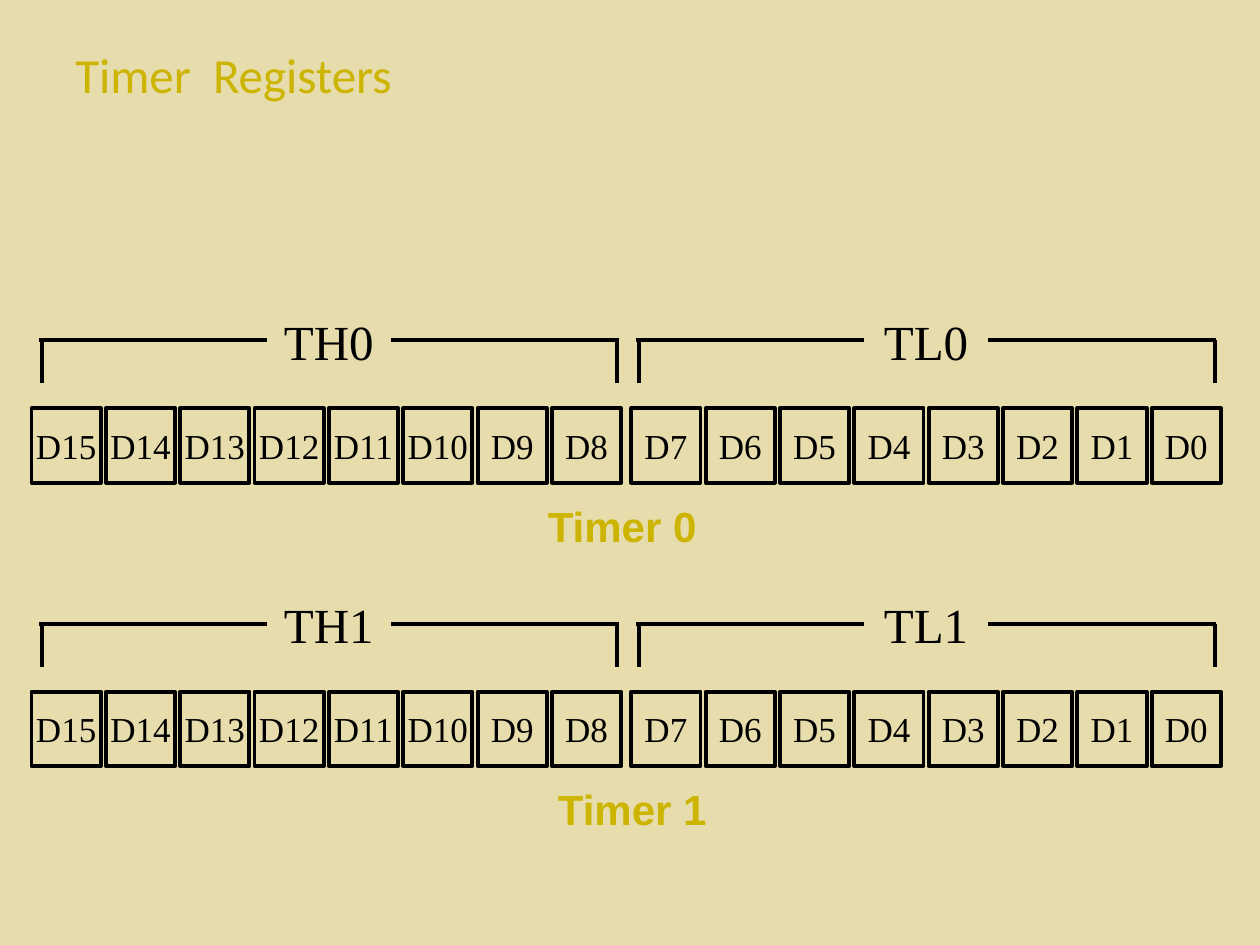
from pptx import Presentation
from pptx.dml.color import RGBColor
from pptx.enum.shapes import MSO_CONNECTOR, MSO_SHAPE
from pptx.enum.text import MSO_ANCHOR, MSO_AUTO_SIZE, PP_ALIGN
from pptx.oxml.ns import qn
from pptx.util import Inches, Pt
from lxml.etree import SubElement

COLORS = {"sand": "E6DCAC", "gold": "CCB400", "ink": "000000"}
SERIF = "Times New Roman"
BITS = 8
STEP = 0.59


def color(name):
    return RGBColor.from_string(COLORS[name])


class Deck:
    """Holds the line style and the slide being drawn."""
    weight = Pt(2.25)

    def __init__(self, slide):
        self.slide = slide
        self.shapes = slide.shapes
        slide.background.fill.solid()
        slide.background.fill.fore_color.rgb = color("sand")

    def group(self):
        """Send the next elements to a new group."""
        self.shapes = self.slide.shapes.add_group_shape().shapes

    def ungroup(self):
        self.shapes = self.slide.shapes

    def label(self, frame, text, size, font, tone, align, bold=False):
        para = frame.paragraphs[0]
        para.alignment = align
        run = para.add_run()
        run.text = text
        run.font.size = Pt(size)
        run.font.name = font
        run.font.bold = bold
        run.font.color.rgb = color(tone)

    def text(self, box, text, size, font, tone,
             align=PP_ALIGN.LEFT, bold=False):
        frame = self.shapes.add_textbox(*map(Inches, box)).text_frame
        frame.word_wrap = True
        frame.auto_size = MSO_AUTO_SIZE.NONE
        self.label(frame, text, size, font, tone, align, bold)

    def cell(self, left, top, text):
        rect = self.shapes.add_shape(
            MSO_SHAPE.RECTANGLE, *map(Inches, (left, top, 0.55, 0.59)))
        rect.shadow.inherit = False
        rect.fill.background()
        rect.line.color.rgb = color("ink")
        rect.line.width = self.weight
        frame = rect.text_frame
        frame.word_wrap = False
        frame.vertical_anchor = MSO_ANCHOR.MIDDLE
        frame.margin_left = frame.margin_right = 0
        frame.margin_top = frame.margin_bottom = Inches(0.01)
        self.label(frame, text, 20, SERIF, "ink", PP_ALIGN.CENTER)

    def line(self, *ends):
        rule = self.shapes.add_connector(
            MSO_CONNECTOR.STRAIGHT, *map(Inches, ends))
        rule.line.color.rgb = color("ink")
        rule.line.width = self.weight
        SubElement(rule._element.spPr, qn("a:effectLst"))

    def brace(self, left, top, name):
        """Draw a byte's bracket, broken in the middle by its name."""
        self.text((left + 1.75, top - 0.28, 1.1, 0.57), name, 28, SERIF,
                  "ink", PP_ALIGN.CENTER)
        right = left + 4.6
        for post, end, inner in ((left + 0.02, left, left + 1.81),
                                 (right - 0.01, right, right - 1.81)):
            self.line(post, top + 0.34, post, top)
            self.line(end, top, inner, top)

    def timer(self, num, top):
        """Draw the high and low bytes of one timer."""
        self.group()
        for name, first, left, edge in (("TH", 15, 0.25, 0.31),
                                        ("TL", 7, 5.01, 5.05)):
            for i in range(BITS):
                self.cell(left + i * STEP, top + 0.54, f"D{first - i}")
            self.brace(edge, top, f"{name}{num}")
        self.ungroup()


def main():
    prs = Presentation()
    prs.slide_width = Inches(10)
    prs.slide_height = Inches(7.5)
    deck = Deck(prs.slides.add_slide(prs.slide_layouts[6]))
    deck.text((0.5, 0.3, 9, 1.25), "Timer  Registers", 28, "Calibri", "gold")
    for num, (top, left) in enumerate(((2.7, 4.25), (4.95, 4.33))):
        deck.timer(num, top)
        deck.text((left, top + 1.22, 2, 0.5), f"Timer {num}", 24, "Arial",
                  "gold", bold=True)
    prs.save("out.pptx")


if __name__ == "__main__":
    main()
